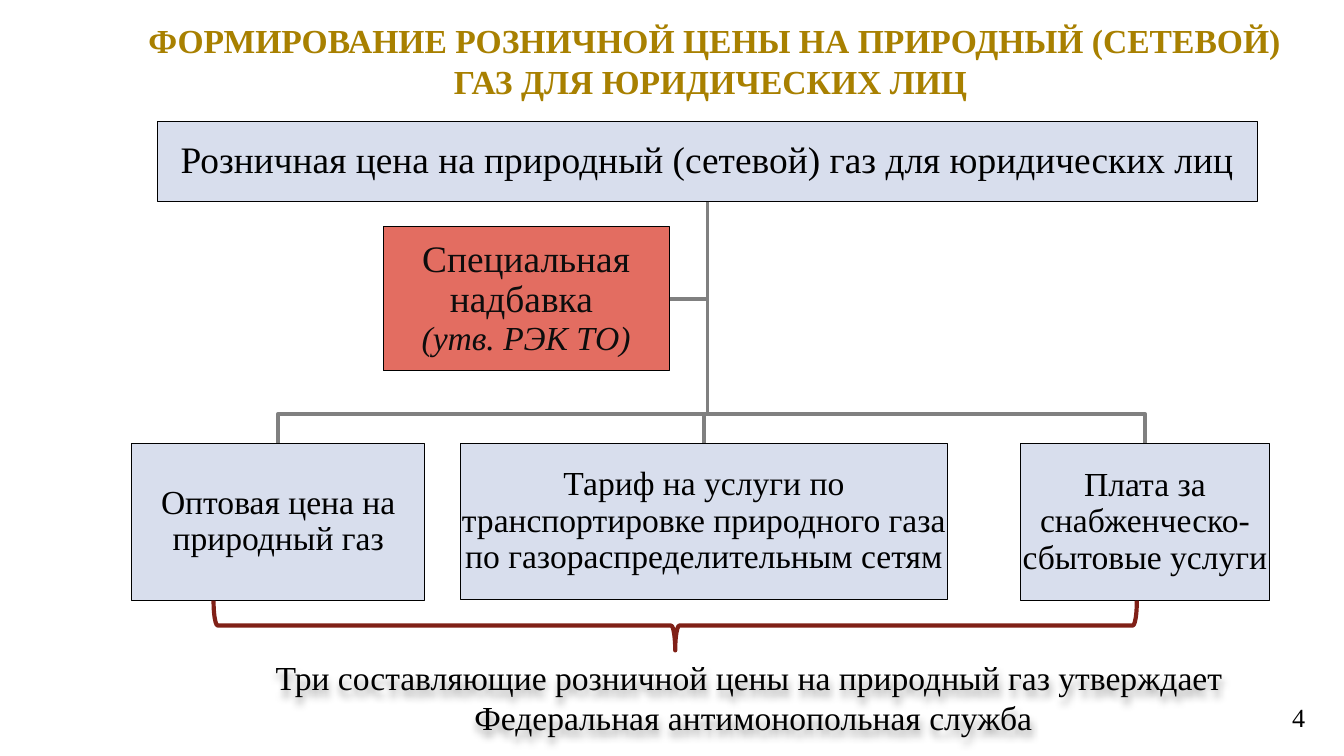
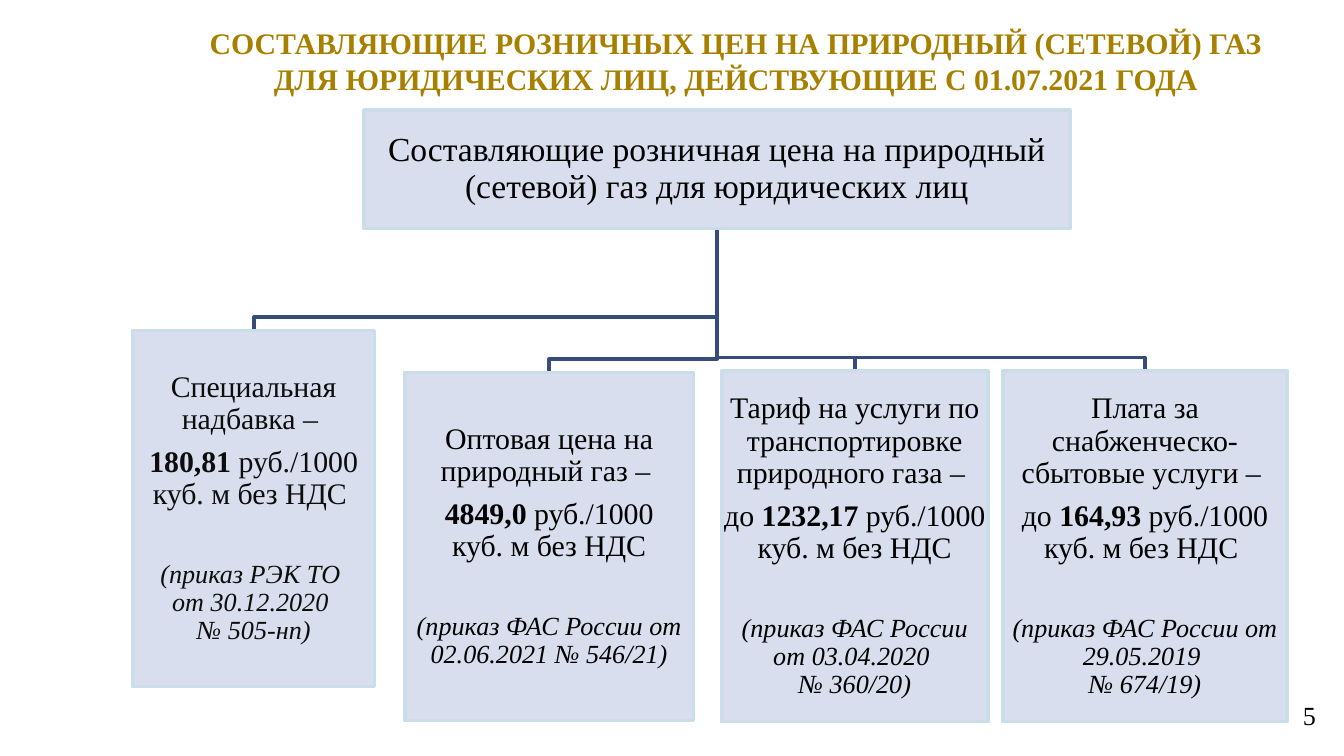
"""Build two slides on how the retail price of natural gas is formed."""
from lxml import etree
from pptx import Presentation
from pptx.dml.color import RGBColor
from pptx.enum.shapes import MSO_SHAPE
from pptx.enum.text import MSO_ANCHOR, MSO_AUTO_SIZE, PP_ALIGN
from pptx.oxml.ns import qn
from pptx.util import Cm, Pt

CENTER, RIGHT = PP_ALIGN.CENTER, PP_ALIGN.RIGHT
MIDDLE, TOP = MSO_ANCHOR.MIDDLE, MSO_ANCHOR.TOP
NO_FIT = MSO_AUTO_SIZE.NONE
RECTANGLE, BRACE = MSO_SHAPE.RECTANGLE, MSO_SHAPE.RIGHT_BRACE
TITLE_ONLY = 5

FONT = "Times New Roman"
COLORS = {
    "title": "A88000", "text": "000000", "soft_text": "0D0D0D",
    "box": "D8DEED", "surcharge": "E36D61",
    "thin_border": "000000", "pale_border": "CCDDEA",
    "gray_line": "808080", "blue_line": "384B7D", "brace": "802017",
}

FORMATION = {
    "title": "ФОРМИРОВАНИЕ РОЗНИЧНОЙ ЦЕНЫ НА ПРИРОДНЫЙ (СЕТЕВОЙ) ГАЗ ДЛЯ ЮРИДИЧЕСКИХ ЛИЦ ",
    "title_area": (2.31, 0.36, 22.4, 1.57), "title_size": 18,
    "number": "4", "number_area": (23.7, 13.18, 1.22, 0.76),
    "border": ("thin_border", 0.5), "line": "gray_line", "drop": 0.56,
    "root": ("Розничная цена на природный (сетевой) газ для юридических лиц", 20,
             (2.97, 2.29, 20.8, 1.52)),
}
FORMATION_PARTS = [
    ("Оптовая цена на природный газ", (2.49, 8.38, 5.54, 2.97)),
    ("Тариф на услуги по транспортировке природного газа по газораспределительным сетям",
     (8.71, 8.38, 9.19, 2.95)),
    ("Плата за снабженческо-сбытовые услуги", (19.28, 8.38, 4.72, 2.97)),
]
SURCHARGE = [[("Специальная надбавка \n", 20, ""), ("(утв. РЭК ТО)", 18, "i")]]
SURCHARGE_AREA = (7.24, 4.29, 5.41, 2.72)
BRACE_AREA = (12.29, 3.1, 0.94, 17.45)
CAPTION = ["Три составляющие розничной цены на природный газ утверждает ",
           "Федеральная антимонопольная служба"]
CAPTION_AREA = (3.76, 12.29, 20.96, 1.8)

COMPONENTS = {
    "title": "СОСТАВЛЯЮЩИЕ РОЗНИЧНЫХ ЦЕН НА ПРИРОДНЫЙ (СЕТЕВОЙ) ГАЗ ДЛЯ ЮРИДИЧЕСКИХ ЛИЦ, "
             "ДЕЙСТВУЮЩИЕ С 01.07.2021 ГОДА",
    "title_area": (3.1, 0.36, 21.62, 1.57), "title_size": 16,
    "number": "5", "number_area": (23.9, 13.13, 1.22, 0.76),
    "border": ("pale_border", 2), "line": "blue_line", "drop": 0.25,
    "root": ("Составляющие розничная цена на природный (сетевой) газ для юридических лиц", 18,
             (6.88, 2.08, 13.34, 2.24)),
}
COMPONENT_PARTS = [
    ("Специальная надбавка – ", "", "180,81", " руб./1000 куб. м без НДС ",
     "(приказ РЭК ТО \nот 30.12.2020 \n№ 505-нп)", "soft_text", (2.51, 6.25, 4.57, 6.73)),
    ("Оптовая цена на природный газ – ", "", "4849,0", " руб./1000\n куб. м без НДС ",
     "(приказ ФАС России от 02.06.2021 № 546/21)", "text", (7.65, 7.04, 5.46, 6.58)),
    ("Тариф на услуги по транспортировке природного газа – ", "до ", "1232,17",
     " руб./1000 куб. м без НДС",
     "(приказ ФАС России от 03.04.2020 \n№ 360/20)", "text", (13.64, 7.01, 5.03, 6.63)),
    ("Плата за снабженческо-сбытовые услуги – ", "до ", "164,93",
     " руб./1000 куб. м без НДС ",
     "(приказ ФАС России от 29.05.2019 \n№ 674/19)", "text", (18.95, 7.01, 5.38, 6.63)),
]
ORDER_GAP = 21


def rgb(name):
    return RGBColor.from_string(COLORS[name])


def lengths(area):
    return [Cm(value) for value in area]


def add_run(paragraph, text, size, style, color):
    for index, line in enumerate(text.split("\n")):
        if index:
            paragraph.add_line_break()
        if not line:
            continue
        run = paragraph.add_run()
        run.text = line
        font = run.font
        font.name, font.size = FONT, Pt(size)
        font.bold, font.italic = "b" in style, "i" in style
        font.color.rgb = rgb(color)


def write(shape, paragraphs, color="text", align=CENTER, anchor=MIDDLE):
    frame = shape.text_frame
    frame.word_wrap = True
    frame.auto_size = NO_FIT
    frame.vertical_anchor = anchor
    for index, runs in enumerate(paragraphs):
        paragraph = frame.add_paragraph() if index else frame.paragraphs[0]
        paragraph.alignment = align
        for text, size, style in runs:
            add_run(paragraph, text, size, style, color)
    return frame


def add_box(slide, area, paragraphs, border, fill="box", color="text"):
    shape = slide.shapes.add_shape(RECTANGLE, *lengths(area))
    shape.shadow.inherit = False
    shape.fill.solid()
    shape.fill.fore_color.rgb = rgb(fill)
    shape.line.color.rgb = rgb(border[0])
    shape.line.width = Pt(border[1])
    frame = write(shape, paragraphs, color)
    frame.margin_left = frame.margin_right = Cm(0.02)
    frame.margin_top = frame.margin_bottom = Cm(0.02)
    for paragraph, runs in zip(frame.paragraphs, paragraphs):
        paragraph.line_spacing = 0.9
        paragraph.space_after = Pt(round(0.35 * runs[-1][1], 1))
    return shape


def add_path(slide, points, color):
    start, *rest = [lengths(point) for point in points]
    builder = slide.shapes.build_freeform(*start, scale=1.0)
    builder.add_line_segments(rest, close=False)
    shape = builder.convert_to_shape()
    shape.shadow.inherit = False
    shape.fill.background()
    shape.line.color.rgb = rgb(color)
    shape.line.width = Pt(2)


def start_slide(presentation, content, part_areas):
    slide = presentation.slides.add_slide(presentation.slide_layouts[TITLE_ONLY])
    title = slide.shapes.title
    title.left, title.top, title.width, title.height = lengths(content["title_area"])
    write(title, [[(content["title"], content["title_size"], "b")]], "title")
    number = slide.shapes.add_textbox(*lengths(content["number_area"]))
    write(number, [[(content["number"], 14, "")]], align=RIGHT)

    text, size, root = content["root"]
    trunk, bottom = root[0] + root[2] / 2, root[1] + root[3]
    for left, top, width, _ in part_areas:
        middle, bus = left + width / 2, top - content["drop"]
        add_path(slide, [(trunk, bottom), (trunk, bus), (middle, bus), (middle, top)],
                 content["line"])
    add_box(slide, root, [[(text, size, "")]], content["border"])
    return slide, trunk, bottom


def add_caption(slide):
    caption = slide.shapes.add_textbox(*lengths(CAPTION_AREA))
    write(caption, [[(line, 18, "")] for line in CAPTION], anchor=TOP)
    effects = etree.SubElement(caption.element.spPr, qn("a:effectLst"))
    shadow = etree.SubElement(effects, qn("a:outerShdw"), blurRad="50800", dist="38100",
                              dir="5400000", rotWithShape="0")
    tint = etree.SubElement(shadow, qn("a:srgbClr"), val=COLORS["text"])
    etree.SubElement(tint, qn("a:alpha"), val="40000")


def build_formation(presentation):
    border = FORMATION["border"]
    slide, trunk, bottom = start_slide(presentation, FORMATION,
                                       [area for _, area in FORMATION_PARTS])
    left, top, width, height = SURCHARGE_AREA
    level = top + height / 2
    add_path(slide, [(trunk, bottom), (trunk, level), (left + width, level)],
             FORMATION["line"])
    for text, area in FORMATION_PARTS:
        add_box(slide, area, [[(text, 18, "")]], border)
    add_box(slide, SURCHARGE_AREA, SURCHARGE, border, "surcharge", "soft_text")

    brace = slide.shapes.add_shape(BRACE, *lengths(BRACE_AREA))
    brace.rotation = 90
    brace.shadow.inherit = False
    brace.fill.background()
    brace.line.color.rgb = rgb("brace")
    brace.line.width = Pt(2.25)
    add_caption(slide)


def build_components(presentation):
    slide, _, _ = start_slide(presentation, COMPONENTS,
                              [part[-1] for part in COMPONENT_PARTS])
    for name, prefix, amount, unit, order, color, area in COMPONENT_PARTS:
        price = [(prefix, 16, "")] if prefix else []
        price += [(amount, 16, "b"), (unit, 16, "")]
        paragraphs = [[(name, 16, "")], price, [(order, 14, "i")]]
        box = add_box(slide, area, paragraphs, COMPONENTS["border"], color=color)
        box.text_frame.paragraphs[-1].space_before = Pt(ORDER_GAP)


def main():
    presentation = Presentation()
    presentation.slide_width, presentation.slide_height = Cm(25.4), Cm(14.29)
    build_formation(presentation)
    build_components(presentation)
    presentation.save("out.pptx")


if __name__ == "__main__":
    main()
